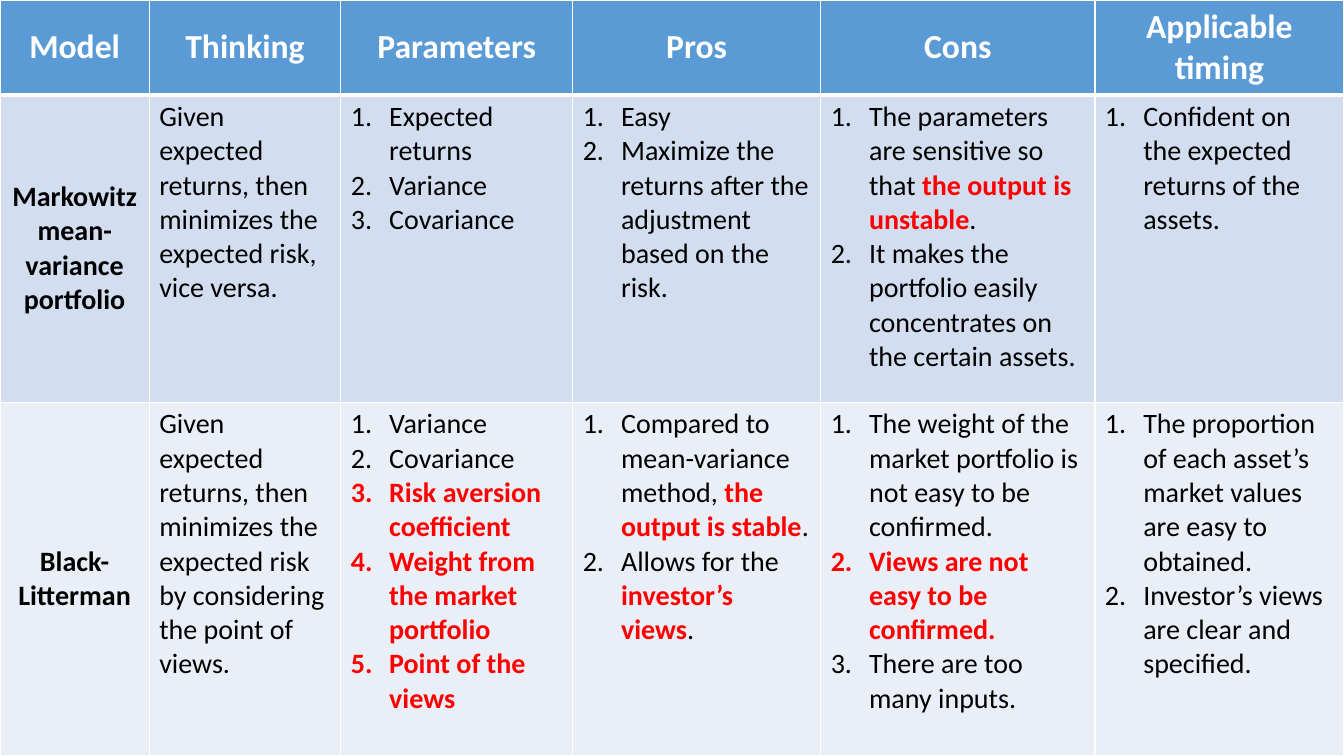
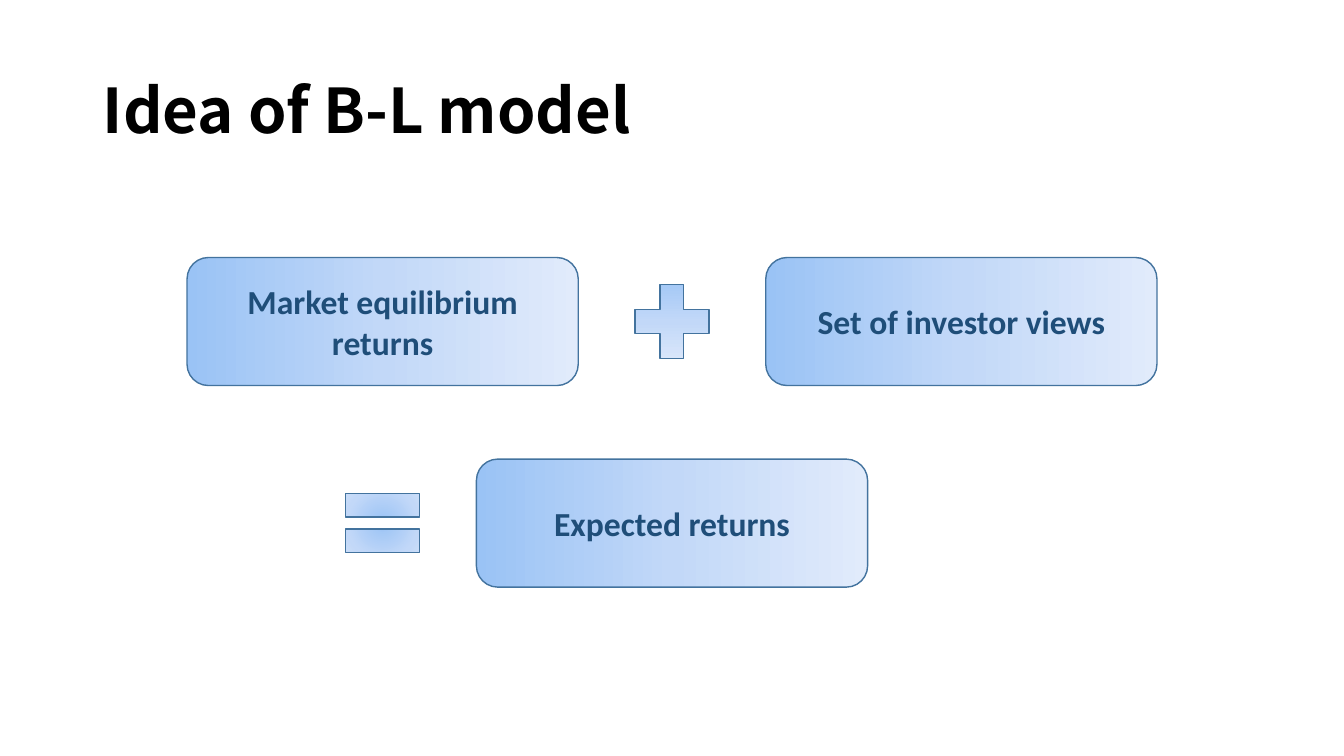
from lxml import etree
from pptx import Presentation, util as u
from pptx.dml.color import RGBColor
from pptx.enum import shapes, text
from pptx.oxml import parse_xml
from pptx.oxml.ns import qn

NAMESPACE = "http://schemas.openxmlformats.org/drawingml/2006/main"
WIDTH, HEIGHT = 13.33, 7.5
BODY_FONT, TITLE_FONT = "Calibri", "Noto Sans CJK SC"
WHITE, BLACK, RED, NAVY = "FFFFFF", "000000", "FF0000", "1F4E79"
ROW_FILLS = ("5B9BD5", "D2DEEF", "EAEFF7")
STOPS = ((0, "9AC3F5"), (50, "C2D8F8"), (100, "E1EBFB"))
OUTLINE = "43739E"

COLUMNS = (1.48, 1.9, 2.3, 2.46, 2.72, 2.47)
ROWS = (0.94, 3.05, 3.51)
# A list is numbered; text between asterisks is emphasised.
CELLS = (
    ("Model", "Thinking", "Parameters", "Pros", "Cons", "Applicable timing"),
    (
        "Markowitz mean-variance portfolio",
        "Given expected returns, then minimizes the expected risk, vice versa.",
        ["Expected returns", "Variance", "Covariance"],
        ["Easy", "Maximize the returns after the adjustment based on the risk."],
        ["The parameters are sensitive so that *the output is unstable*.",
         "It makes the portfolio easily concentrates on the certain assets."],
        ["Confident on the expected returns of the assets."],
    ),
    (
        "Black-Litterman",
        "Given expected returns, then minimizes the expected risk by considering the point of views.",
        ["Variance", "Covariance", "*Risk aversion coefficient*",
         "*Weight from the market portfolio*", "*Point of the views*"],
        ["Compared to mean-variance method, *the output is stable*.",
         "Allows for the *investor’s views*."],
        ["The weight of the market portfolio is not easy to be confirmed.",
         "*Views are not easy to be confirmed.*", "There are too many inputs."],
        ["The proportion of each asset’s market values are easy to obtained.",
         "Investor’s views are clear and specified."],
    ),
)

TITLE = "Idea of B-L model"
BOX_WIDTH, BOX_HEIGHT, SIGN_SIZE = 3.88, 1.27, 1
STEP = 2.87
TOP_ROW, BOTTOM_ROW = 3.19, 5.19
CENTRE = WIDTH / 2
BOXES = (
    ("Market equilibrium returns", CENTRE - STEP, TOP_ROW),
    ("Set of investor views", CENTRE + STEP, TOP_ROW),
    ("Expected returns", CENTRE, BOTTOM_ROW),
)
LINEAR = '<a:lin ang="{}" scaled="0"/>'
RADIAL = '<a:path path="circle"><a:fillToRect l="50000" t="50000" r="50000" b="50000"/></a:path>'
SIGNS = (
    (shapes.MSO_SHAPE.MATH_EQUAL, CENTRE - STEP, BOTTOM_ROW, RADIAL),
    (shapes.MSO_SHAPE.MATH_PLUS, CENTRE, TOP_ROW, LINEAR.format(90 * 60000)),
)


def colour(value):
    return RGBColor.from_string(value)


def set_font(para, name, size):
    para.font.name = name
    para.font.size = u.Pt(size)


def number(para):
    properties = para._p.get_or_add_pPr()
    properties.set("marL", str(u.Inches(0.38)))
    properties.set("indent", str(-u.Inches(0.38)))
    etree.SubElement(properties, qn("a:buFont"), typeface="+mj-lt")
    etree.SubElement(properties, qn("a:buAutoNum"), type="arabicPeriod")


def add_spans(para, content, base, bold):
    for index, part in enumerate(content.split("*")):
        if part:
            span = para.add_run()
            span.text = part
            emphasised = index % 2 == 1
            span.font.bold = bold or emphasised
            span.font.color.rgb = colour(RED if emphasised else base)


def set_borders(cell, row):
    thick = {0: "B", 1: "T"}.get(row)
    for side in "LRTB":
        width = u.Pt(3 if side == thick else 1)
        cell._tc.get_or_add_tcPr().append(parse_xml(
            f'<a:ln{side} xmlns:a="{NAMESPACE}" w="{width}"><a:solidFill>'
            f'<a:srgbClr val="{WHITE}"/></a:solidFill></a:ln{side}>'))


def fill_cell(cell, content, row, column):
    heading = row == 0 or column == 0
    set_borders(cell, row)
    cell.fill.solid()
    cell.fill.fore_color.rgb = colour(ROW_FILLS[row])
    if heading:
        cell.vertical_anchor = text.MSO_ANCHOR.MIDDLE
    numbered = isinstance(content, list)
    for index, item in enumerate(content if numbered else [content]):
        frame = cell.text_frame
        para = frame.add_paragraph() if index else frame.paragraphs[0]
        if numbered:
            number(para)
        if heading:
            para.alignment = text.PP_ALIGN.CENTER
        set_font(para, BODY_FONT, 24 if row == 0 else 20)
        add_spans(para, item, WHITE if row == 0 else BLACK, heading)


def add_comparison(deck):
    page = deck.slides.add_slide(deck.slide_layouts[6])
    table = page.shapes.add_table(
        len(ROWS), len(COLUMNS), 0, 0, u.Inches(WIDTH), u.Inches(HEIGHT)).table
    table.first_row = table.horz_banding = False
    for column, width in zip(table.columns, COLUMNS):
        column.width = u.Inches(width)
    for row, height in zip(table.rows, ROWS):
        row.height = u.Inches(height)
    for row, contents in enumerate(CELLS):
        for column, content in enumerate(contents):
            fill_cell(table.cell(row, column), content, row, column)


def add_gradient_shape(page, kind, centre, middle, width, height, direction):
    shape = page.shapes.add_shape(
        kind, u.Inches(centre - width / 2), u.Inches(middle - height / 2),
        u.Inches(width), u.Inches(height))
    shape.shadow.inherit = False
    shape.line.color.rgb = colour(OUTLINE)
    shape.line.width = u.Pt(1)
    shape.fill.background()
    stops = "".join(
        f'<a:gs pos="{position * 1000}"><a:srgbClr val="{value}"/></a:gs>'
        for position, value in STOPS)
    properties = shape.element.spPr
    properties.replace(properties.find(qn("a:noFill")), parse_xml(
        f'<a:gradFill xmlns:a="{NAMESPACE}" rotWithShape="1">'
        f'<a:gsLst>{stops}</a:gsLst>{direction}</a:gradFill>'))
    return shape


def add_idea(deck):
    page = deck.slides.add_slide(deck.slide_layouts[5])
    title = page.shapes.title
    title.left, title.top, title.width, title.height = map(u.Inches, (0.92, 0.4, 11.5, 1.45))
    frame = title.text_frame
    frame.text = TITLE
    frame.auto_size = text.MSO_AUTO_SIZE.NONE
    frame.vertical_anchor = text.MSO_ANCHOR.MIDDLE
    para = frame.paragraphs[0]
    para.alignment = text.PP_ALIGN.LEFT
    para.line_spacing = 0.9
    set_font(para, TITLE_FONT, 44)
    para.font.bold = True
    para.font.color.rgb = colour(BLACK)

    for label, centre, middle in BOXES:
        box = add_gradient_shape(
            page, shapes.MSO_SHAPE.ROUNDED_RECTANGLE, centre, middle,
            BOX_WIDTH, BOX_HEIGHT, LINEAR.format(0))
        box.text_frame.word_wrap = True
        box.text_frame.vertical_anchor = text.MSO_ANCHOR.MIDDLE
        para = box.text_frame.paragraphs[0]
        para.alignment = text.PP_ALIGN.CENTER
        set_font(para, BODY_FONT, 24)
        add_spans(para, label, NAVY, True)
    for kind, centre, middle, direction in SIGNS:
        add_gradient_shape(page, kind, centre, middle, SIGN_SIZE, SIGN_SIZE, direction)


def main():
    deck = Presentation()
    deck.slide_width, deck.slide_height = u.Inches(WIDTH), u.Inches(HEIGHT)
    add_comparison(deck)
    add_idea(deck)
    deck.save("out.pptx")


if __name__ == "__main__":
    main()
